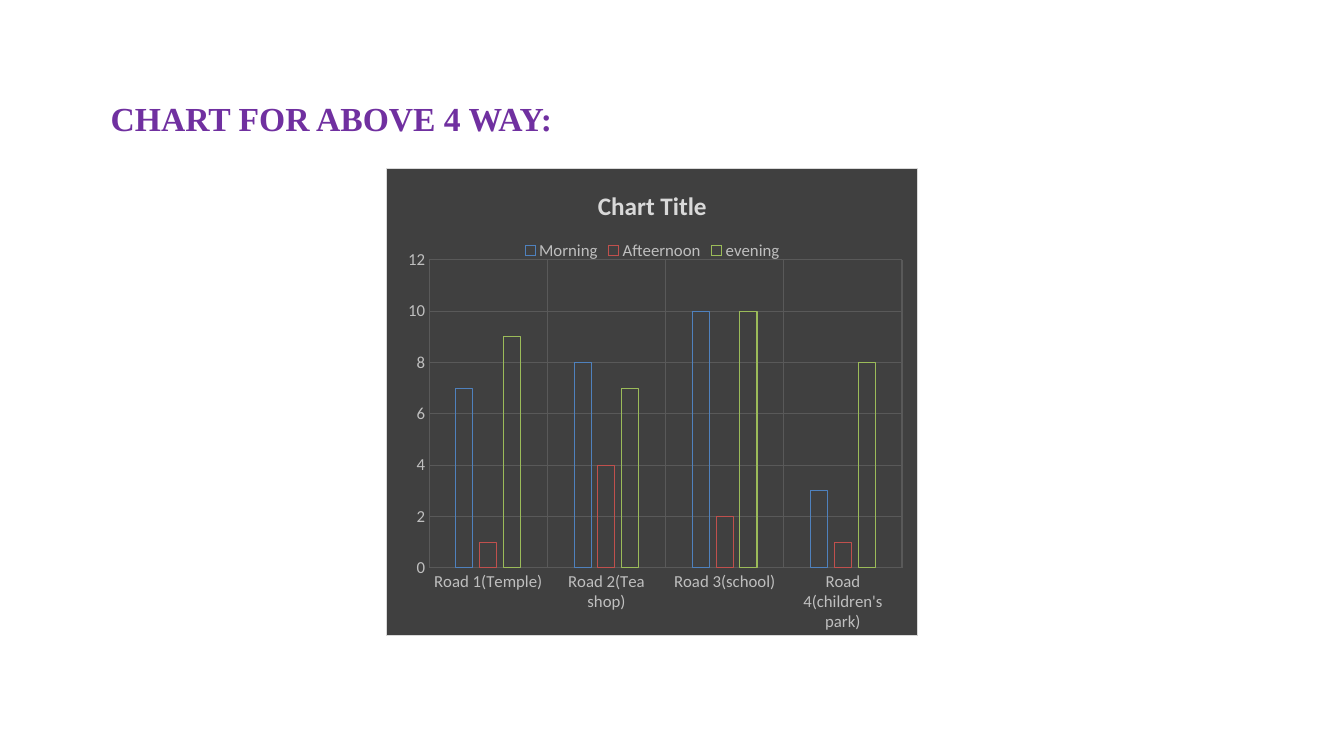
from lxml import etree
from pptx import Presentation
from pptx import util as u
from pptx.chart import data as chart_data
from pptx.dml.color import RGBColor
from pptx.enum import chart as kinds
from pptx.oxml import ns

HEADING = "CHART FOR ABOVE 4 WAY:"
CHART_TITLE = "Chart Title"
ROADS = ["Road 1(Temple)", "Road 2(Tea shop)", "Road 3(school)", "Road 4(children's park)"]

PURPLE = RGBColor(0x70, 0x30, 0xA0)
DARK = RGBColor(0x40, 0x40, 0x40)
GRID = RGBColor(0x59, 0x59, 0x59)
LABEL = RGBColor(0xBF, 0xBF, 0xBF)
PALE = RGBColor(0xD9, 0xD9, 0xD9)
BLUE = RGBColor(0x4F, 0x81, 0xBD)
RED = RGBColor(0xC0, 0x50, 0x4D)
GREEN = RGBColor(0x9B, 0xBB, 0x59)

COUNTS = [
    ("Morning", (7, 8, 10, 3), BLUE),
    ("Afteernoon", (1, 4, 2, 1), RED),
    ("evening", (9, 7, 10, 8), GREEN),
]
CHART_AREA = (3.83, 1.67, 5.28, 4.64)
HEADING_AREA = (1, 0.92, 6.03, 0.5)
PLOT_LAYOUT = [
    ("layoutTarget", "inner"), ("xMode", "edge"), ("yMode", "edge"),
    ("x", 0.08), ("y", 0.195), ("w", 0.89), ("h", 0.66),
]


def style_font(font, size, color, name="Calibri", bold=False):
    font.size = u.Pt(size)
    font.name = name
    font.bold = bold
    font.color.rgb = color


def write_text(frame, text, **style):
    span = frame.paragraphs[0].add_run()
    span.text = text
    style_font(span.font, **style)


def outline(line, color):
    line.color.rgb = color
    line.width = u.Pt(0.75)


def place_plot(chart):
    plot_area = chart.element.find(".//" + ns.qn("c:plotArea"))
    for old in plot_area.findall(ns.qn("c:layout")):
        plot_area.remove(old)
    layout = etree.Element(ns.qn("c:layout"))
    manual = etree.SubElement(layout, ns.qn("c:manualLayout"))
    for tag, value in PLOT_LAYOUT:
        etree.SubElement(manual, ns.qn("c:" + tag)).set("val", str(value))
    plot_area.insert(0, layout)


def fill_chart_area(chart):
    area = etree.Element(ns.qn("c:spPr"))
    border = etree.Element(ns.qn("a:ln"), w=str(u.Pt(0.75)))
    for parent, color in ((area, DARK), (border, PALE)):
        solid = etree.SubElement(parent, ns.qn("a:solidFill"))
        etree.SubElement(solid, ns.qn("a:srgbClr")).set("val", str(color))
    area.append(border)
    chart.element.find(ns.qn("c:chart")).addnext(area)


def add_traffic_chart(page):
    data = chart_data.CategoryChartData()
    data.categories = ROADS
    for name, values, _ in COUNTS:
        data.add_series(name, values)
    chart = page.shapes.add_chart(
        kinds.XL_CHART_TYPE.COLUMN_CLUSTERED, *map(u.Inches, CHART_AREA), data
    ).chart
    style_font(chart.font, 12, LABEL)
    chart.has_title = True
    write_text(chart.chart_title.text_frame, CHART_TITLE, size=18, color=PALE, bold=True)
    chart.chart_title.include_in_layout = False
    chart.has_legend = True
    chart.legend.position = kinds.XL_LEGEND_POSITION.TOP
    chart.legend.include_in_layout = False
    style_font(chart.legend.font, 12, LABEL)

    for axis in (chart.category_axis, chart.value_axis):
        axis.has_major_gridlines = True
        outline(axis.major_gridlines.format.line, GRID)
        axis.major_tick_mark = axis.minor_tick_mark = kinds.XL_TICK_MARK.NONE
        axis.format.line.fill.background()
        style_font(axis.tick_labels.font, 12, LABEL)
    chart.value_axis.minimum_scale = 0
    chart.value_axis.maximum_scale = 12
    chart.value_axis.major_unit = 2

    plot = chart.plots[0]
    plot.gap_width = 315
    plot.overlap = -40
    plot.vary_by_categories = False
    for series, (_, _, color) in zip(plot.series, COUNTS):
        series.format.fill.background()
        outline(series.format.line, color)
    place_plot(chart)
    fill_chart_area(chart)


def main():
    deck = Presentation()
    deck.slide_width, deck.slide_height = u.Inches(13.33), u.Inches(7.5)
    page = deck.slides.add_slide(deck.slide_layouts[6])
    add_traffic_chart(page)
    box = page.shapes.add_textbox(*map(u.Inches, HEADING_AREA))
    box.text_frame.word_wrap = True
    write_text(box.text_frame, HEADING, size=24, color=PURPLE, name="Times New Roman", bold=True)
    deck.save("out.pptx")


if __name__ == "__main__":
    main()
